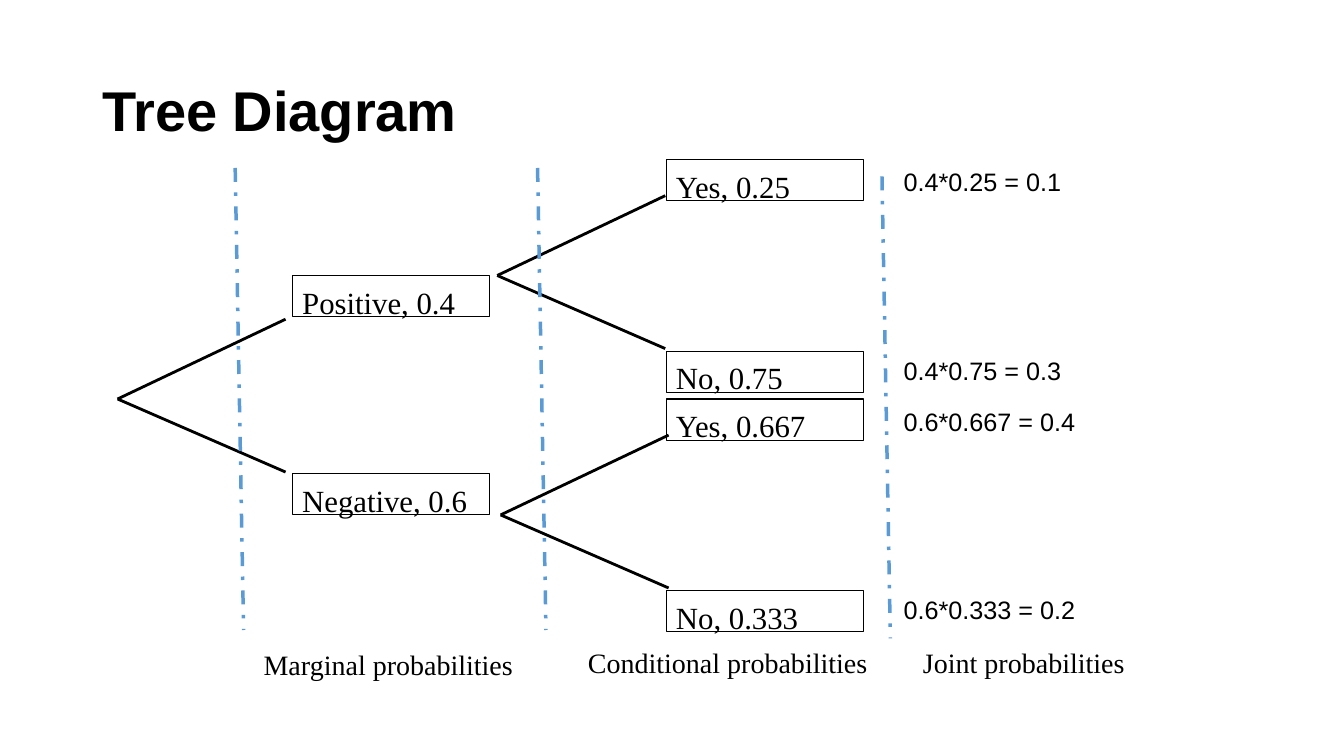
from lxml.etree import SubElement
from pptx import Presentation
from pptx.dml.color import RGBColor
from pptx.enum.dml import MSO_LINE
from pptx.enum.shapes import MSO_CONNECTOR, MSO_SHAPE
from pptx.enum.text import MSO_ANCHOR, PP_ALIGN
from pptx.oxml.ns import qn
from pptx.util import Inches, Pt

COLORS = {"ink": "000000", "rule": "5B9BD5"}
SERIF, SANS = "Times New Roman", "Arial"
COLS, ROWS = 160, 90  # square grid, twelve cells to the inch
NODE_W, NODE_H = 23.5, 4.9


def grid(cells):
    return Inches(cells / 12)


def color(name):
    return RGBColor.from_string(COLORS[name])


def write(shape, text, size, font, bold=False, top=0.07):
    frame = shape.text_frame
    frame.word_wrap = True
    frame.margin_top = Inches(top)
    frame.vertical_anchor = MSO_ANCHOR.TOP
    para = frame.paragraphs[0]
    para.alignment = PP_ALIGN.LEFT
    run = para.add_run()
    run.text = text
    run.font.size, run.font.name, run.font.bold = Pt(size), font, bold
    run.font.color.rgb = color("ink")
    return frame


def label(slide, box, text, size, font, bold=False):
    shape = slide.shapes.add_textbox(*map(grid, box))
    return write(shape, text, size, font, bold)


def line(slide, start, end, tint, width, dash=None):
    link = slide.shapes.add_connector(
        MSO_CONNECTOR.STRAIGHT, *map(grid, (*start, *end)))
    link.line.color.rgb = color(tint)
    link.line.width = Pt(width)
    if dash:
        link.line.dash_style = dash
    SubElement(link._element.spPr, qn("a:effectLst"))


def node(slide, x, y, text):
    shape = slide.shapes.add_shape(
        MSO_SHAPE.RECTANGLE, *map(grid, (x, y, NODE_W, NODE_H)))
    shape.shadow.inherit = False
    shape.fill.background()
    shape.line.color.rgb = color("ink")
    shape.line.width = Pt(0.75)
    write(shape, text, 22, SERIF, top=0.08)


def fork(slide, x, y):
    for rise in (-9.5, 8.7):
        line(slide, (x, y), (x + 20, y + rise), "ink", 2)


def branch(slide, x, y, shift, leaves):
    """Fork, two outcomes and their products, from the top outcome's corner."""
    fork(slide, x - 20.1 + shift, y + 13.8)
    for i, (text, joint) in enumerate(leaves):
        node(slide, x, y + i * 22.8, text)
        label(slide, (x + 27.1, y + i * 22.4, 30, 4.2), joint, 18, SANS)


def tree(slide, x, y):
    # First stage
    fork(slide, x, y + 28.5)
    node(slide, x + 20.8, y + 13.8, "Positive, 0.4")
    node(slide, x + 20.8, y + 37.4, "Negative, 0.6")
    # Second stage
    branch(slide, x + 65.3, y, 0,
           [("Yes, 0.25", "0.4*0.25 = 0.1"), ("No, 0.75", "0.4*0.75 = 0.3")])
    branch(slide, x + 65.3, y + 28.5, 0.4,
           [("Yes, 0.667", "0.6*0.667 = 0.4"),
            ("No, 0.333", "0.6*0.333 = 0.2")])


def stages(slide, y):
    # Dashed dividers
    for x, drop in ((28, 0), (64, 0), (105, 1)):
        line(slide, (x, y + drop), (x + 1, y + drop + 55),
             "rule", 2.5, MSO_LINE.DASH_DOT)
    # Captions
    for x, drop, width, text in (
            (30.2, 56.3, 34.2, "Marginal probabilities"),
            (68.8, 56, 39.2, "Conditional probabilities"),
            (108.7, 56, 39.2, "Joint probabilities")):
        label(slide, (x, y + drop, width, 5.3), text, 20, SERIF)


def title(slide, box):
    frame = label(slide, box, "Tree Diagram", 40, SANS, bold=True)
    frame.margin_top = Inches(0.05)
    frame.vertical_anchor = MSO_ANCHOR.MIDDLE
    frame.paragraphs[0].line_spacing = 0.9


def main():
    deck = Presentation()
    deck.slide_width, deck.slide_height = grid(COLS), grid(ROWS)
    slide = deck.slides.add_slide(deck.slide_layouts[6])
    title(slide, (11, 4.8, 138, 17.4))
    tree(slide, 14, 19)
    stages(slide, 20)
    deck.save("out.pptx")


if __name__ == "__main__":
    main()
